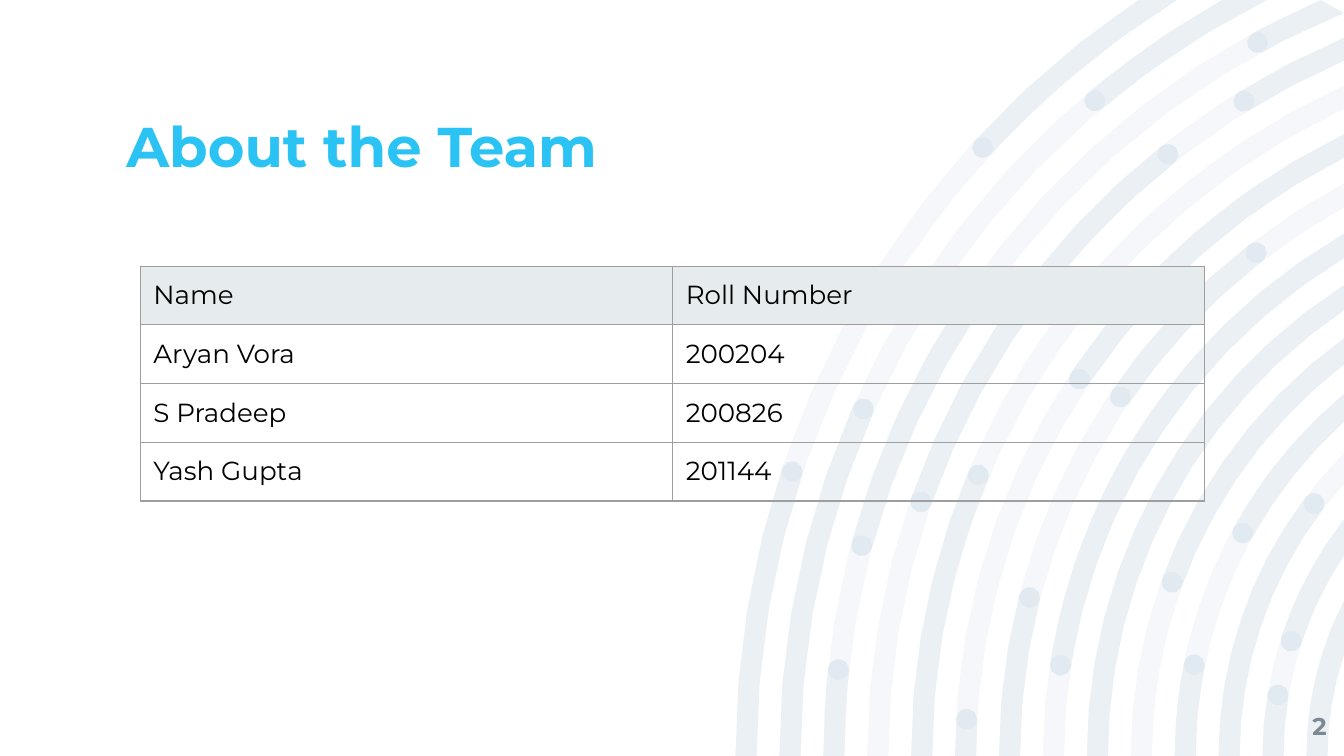
from dataclasses import dataclass
from math import acos, asin, ceil, cos, degrees, pi, radians, sin

from lxml import etree
from pptx import Presentation
from pptx.dml.color import RGBColor
from pptx.enum.text import MSO_ANCHOR, PP_ALIGN
from pptx.oxml.ns import qn
from pptx.util import Cm, Pt

MIDDLE, BOTTOM = MSO_ANCHOR.MIDDLE, MSO_ANCHOR.BOTTOM
LEFT, RIGHT = PP_ALIGN.LEFT, PP_ALIGN.RIGHT

SLIDE_W, SLIDE_H = 25.4, 14.29
CENTRE_X, CENTRE_Y = 31.12, SLIDE_H
OUTER_MID_RADIUS, RING_PITCH, RING_WIDTH = 17.02, 0.83, 0.4
HALF_WIDTH = RING_WIDTH / 2
ARC_STEP, CAP_STEPS, DOT_STEPS = 5, 4, 10


@dataclass(frozen=True)
class Theme:
    font: str = "Montserrat"
    title: str = "2AC3F3"
    number: str = "7C8894"
    text: str = "000000"
    header: str = "E6ECEE"
    border: str = "9E9E9E"
    ring: str = "004591"
    ring_alpha: int = 4
    title_size: int = 30
    table_size: int = 14
    number_size: int = 13
    border_width: float = 0.75


@dataclass(frozen=True)
class Arc:
    ring: int
    start: float | None = None
    end: float | None = None

    @property
    def radius(self) -> float:
        return OUTER_MID_RADIUS - self.ring * RING_PITCH


@dataclass(frozen=True)
class Label:
    text: str
    left: float
    top: float
    width: float
    height: float
    size: int
    color: str
    anchor: MSO_ANCHOR
    align: PP_ALIGN
    spacing: float = 1.0


THEME = Theme()
RINGS = [Arc(i) for i in range(14)]
ACCENTS = [
    Arc(0, end=18.4), Arc(0, start=42.5),
    Arc(1, end=23.9), Arc(1, start=49.9),
    Arc(2, end=6.1), Arc(2, 15, 34.5), Arc(2, start=61.4),
    Arc(3, 19.3, 51.5), Arc(3, start=58.4),
    Arc(4, end=22.8),
    Arc(5, end=3.1), Arc(5, start=33.6),
    Arc(6, end=14.4), Arc(6, 34.3, 52.2),
    Arc(7, start=8.8),
    Arc(8),
    Arc(9, start=20.1),
    Arc(10, end=11.4), Arc(10, start=28.9),
    Arc(11, end=37.2),
    Arc(12, end=9.4), Arc(12, start=17.9),
    Arc(13),
]
LABELS = [
    Label("About the Team", 2.39, 2.31, 20.65, 1.09, THEME.title_size,
          THEME.title, BOTTOM, LEFT, 0.9),
    Label("2", 23.55, 13.18, 1.52, 1.09, THEME.number_size,
          THEME.number, MIDDLE, RIGHT),
]
TEAM = [
    ("Name", "Roll Number"),
    ("Aryan Vora", "200204"),
    ("S Pradeep", "200826"),
    ("Yash Gupta", "201144"),
]


def polar(radius: float, angle: float) -> tuple[float, float]:
    t = radians(angle)
    return CENTRE_X - radius * cos(t), CENTRE_Y - radius * sin(t)


def exit_angle(radius: float) -> float:
    return degrees(min(acos((CENTRE_X - SLIDE_W) / radius),
                       asin(min(1, CENTRE_Y / radius))))


def edge(radius: float, start: float, end: float) -> list:
    steps = ceil(abs(end - start) / ARC_STEP)
    return [polar(radius, start + (end - start) * k / steps) for k in range(steps + 1)]


def cap(radius: float, angle: float, side: int) -> list:
    turns = [pi * k / CAP_STEPS for k in range(1, CAP_STEPS)]
    return [polar(radius + side * HALF_WIDTH * cos(t),
                  angle + side * degrees(HALF_WIDTH * sin(t) / radius)) for t in turns]


def arc_outline(arc: Arc) -> list:
    outer, inner = arc.radius + HALF_WIDTH, arc.radius - HALF_WIDTH
    start = arc.start or 0
    points = edge(outer, start, arc.end or exit_angle(outer))
    if arc.end is not None:
        points += cap(arc.radius, arc.end, 1)
    points += edge(inner, arc.end or exit_angle(inner), start)
    if arc.start is not None:
        points += cap(arc.radius, arc.start, -1)
    return points


def dot_outline(radius: float, angle: float) -> list:
    x, y = polar(radius, angle)
    turns = [2 * pi * k / DOT_STEPS for k in range(DOT_STEPS)]
    return [(x + HALF_WIDTH * cos(t), y + HALF_WIDTH * sin(t)) for t in turns]


def draw_layer(s, outlines: list) -> None:
    contours = [[(Cm(x), Cm(y)) for x, y in points] for points in outlines]
    builder = s.shapes.build_freeform(*contours[0][0])
    for i, points in enumerate(contours):
        if i:
            builder.move_to(*points[0])
        builder.add_line_segments(points[1:], close=True)
    sp = builder.convert_to_shape()
    sp.shadow.inherit = False
    sp.line.fill.background()
    sp.fill.solid()
    sp.fill.fore_color.rgb = RGBColor.from_string(THEME.ring)
    color = sp._element.spPr.find(qn("a:solidFill")).find(qn("a:srgbClr"))
    etree.SubElement(color, qn("a:alpha"), val=str(THEME.ring_alpha * 1000))


def style(p, size: int, color: str, bold: bool) -> None:
    p.font.name = THEME.font
    p.font.size = Pt(size)
    p.font.bold = bold
    p.font.color.rgb = RGBColor.from_string(color)


def draw_label(s, label: Label) -> None:
    sp = s.shapes.add_textbox(Cm(label.left), Cm(label.top), Cm(label.width), Cm(label.height))
    tf = sp.text_frame
    tf.word_wrap = True
    tf.vertical_anchor = label.anchor
    tf.margin_left = tf.margin_right = tf.margin_top = tf.margin_bottom = 0
    p = tf.paragraphs[0]
    p.text = label.text
    p.alignment = label.align
    p.line_spacing = label.spacing
    style(p, label.size, label.color, True)


def add_borders(cell) -> None:
    tc_pr = cell._tc.get_or_add_tcPr()
    for side in ("lnL", "lnR", "lnT", "lnB"):
        ln = etree.SubElement(tc_pr, qn(f"a:{side}"), w=str(Pt(THEME.border_width)))
        fill = etree.SubElement(ln, qn("a:solidFill"))
        etree.SubElement(fill, qn("a:srgbClr"), val=THEME.border)


def draw_table(s, rows: list[tuple[str, str]]) -> None:
    table = s.shapes.add_table(len(rows), len(rows[0]), Cm(2.65), Cm(5.03),
                               Cm(20.12), Cm(1.11 * len(rows))).table
    table.first_row = table.horz_banding = False
    for i, row in enumerate(rows):
        for j, text in enumerate(row):
            cell = table.cell(i, j)
            cell.margin_left = cell.margin_right = Cm(0.25)
            cell.margin_top = cell.margin_bottom = Cm(0.25)
            add_borders(cell)
            if i == 0:
                cell.fill.solid()
                cell.fill.fore_color.rgb = RGBColor.from_string(THEME.header)
            else:
                cell.fill.background()
            p = cell.text_frame.paragraphs[0]
            p.text = text
            style(p, THEME.table_size, THEME.text, False)


def main() -> None:
    prs = Presentation()
    prs.slide_width, prs.slide_height = Cm(SLIDE_W), Cm(SLIDE_H)
    s = prs.slides.add_slide(prs.slide_layouts[6])
    draw_layer(s, [arc_outline(arc) for arc in RINGS])
    draw_layer(s, [arc_outline(arc) for arc in ACCENTS])
    draw_layer(s, [dot_outline(arc.radius, angle) for arc in ACCENTS
                   for angle in (arc.start, arc.end) if angle is not None])
    for label in LABELS:
        draw_label(s, label)
    draw_table(s, TEAM)
    prs.save("out.pptx")


if __name__ == "__main__":
    main()
